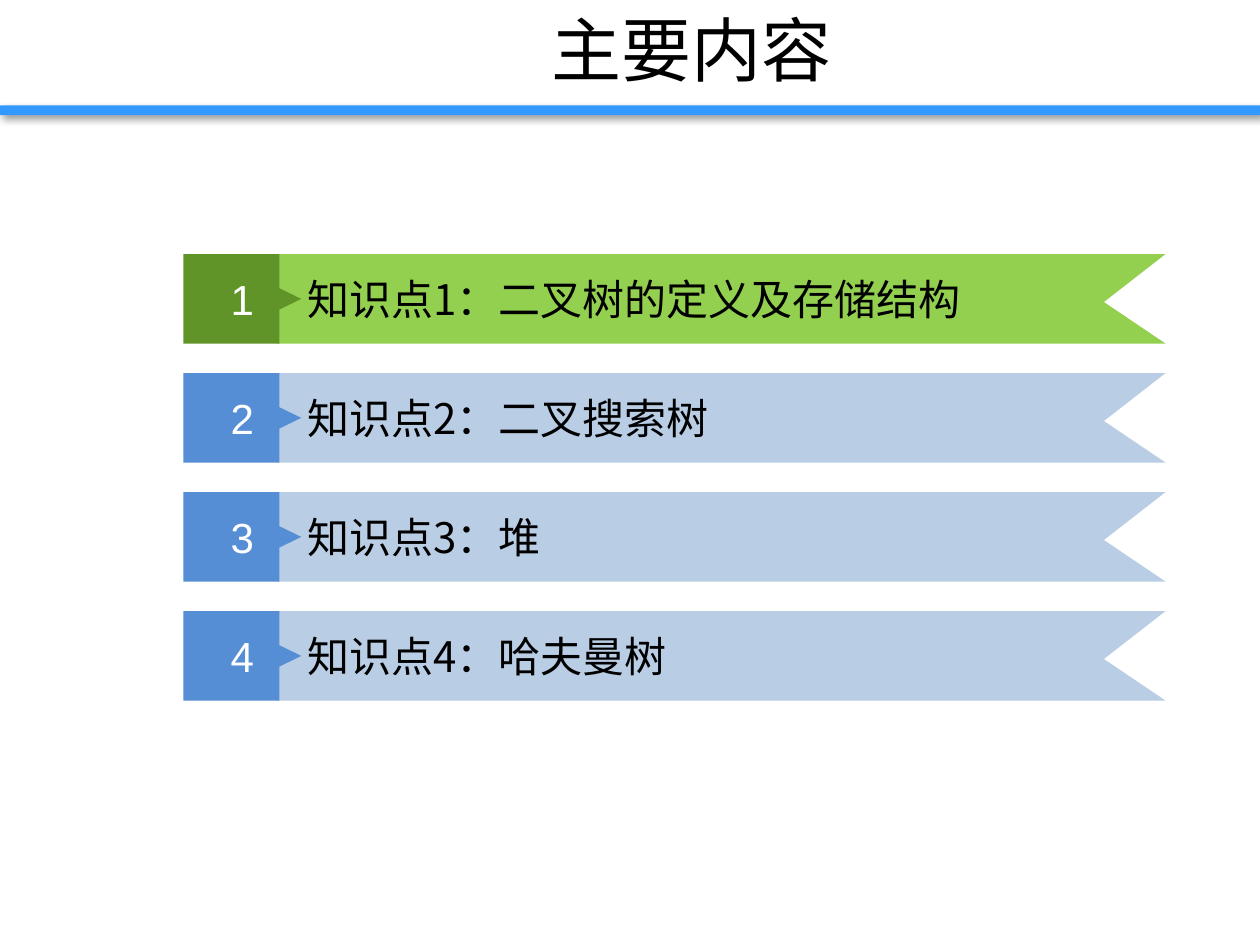
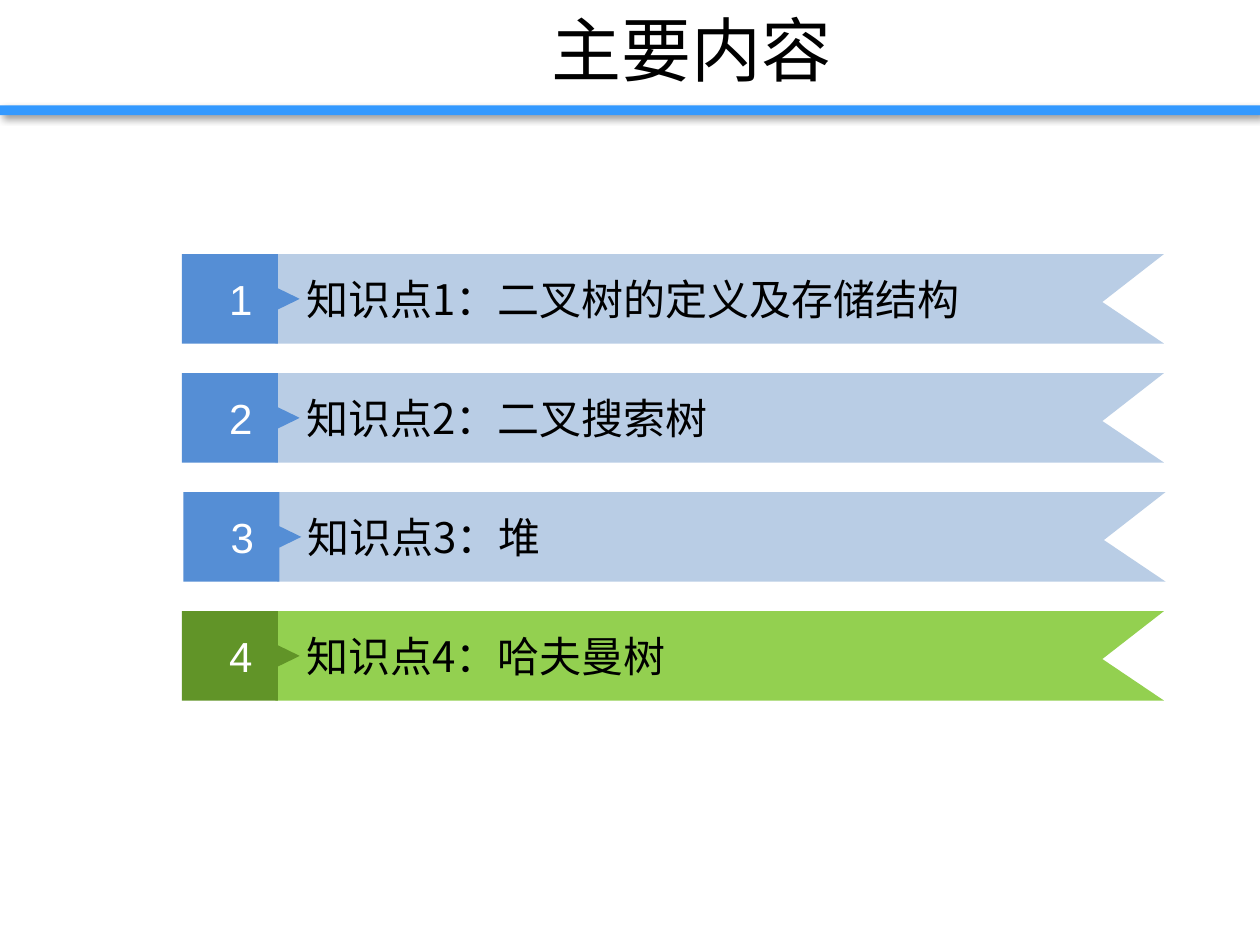
from dataclasses import dataclass

from lxml.etree import SubElement
from pptx import Presentation
from pptx.dml.color import RGBColor
from pptx.enum.shapes import MSO_SHAPE
from pptx.enum.text import MSO_ANCHOR, PP_ALIGN
from pptx.oxml.ns import qn
from pptx.shapes.autoshape import Shape
from pptx.slide import Slide
from pptx.util import Pt

WHITE = RGBColor(0xFF, 0xFF, 0xFF)
BLACK = RGBColor(0x00, 0x00, 0x00)
BAND_BLUE = RGBColor(0x33, 0x99, 0xFF)
PALE_BLUE = RGBColor(0xB9, 0xCD, 0xE5)
MID_BLUE = RGBColor(0x55, 0x8E, 0xD5)
LIGHT_GREEN = RGBColor(0x93, 0xD0, 0x50)
DARK_GREEN = RGBColor(0x61, 0x94, 0x28)

HEADING_FONT = "Noto Sans CJK SC"
NUMBER_FONT = "Arial"

HEADING = "主要内容"
TOPICS = ("二叉树的定义及存储结构", "二叉搜索树", "堆", "哈夫曼树")

FIRST_TOP = 145.2
ROW_PITCH = 68
ROW_HEIGHT = 51.1
RIBBON_OUTLINE = (
    (53.5, 0), (561.2, 0), (526, 27.4), (561.2, ROW_HEIGHT), (53.5, ROW_HEIGHT),
)
TAG_OUTLINE = (
    (0, 0), (54.9, 0), (54.9, 19.5), (67.4, 25.6), (54.9, 31.7),
    (54.9, ROW_HEIGHT), (0, ROW_HEIGHT),
)


@dataclass(frozen=True)
class Palette:
    tag: RGBColor
    ribbon: RGBColor


@dataclass(frozen=True)
class Agenda:
    current: int
    lefts: tuple[float, ...]


PLAIN = Palette(MID_BLUE, PALE_BLUE)
CURRENT = Palette(DARK_GREEN, LIGHT_GREEN)
AGENDAS = (
    Agenda(1, (104.8, 104.8, 104.8, 104.8)),
    Agenda(4, (103.9, 103.9, 104.8, 103.9)),
)


def write_text(shape: Shape, text: str, size: float, font_name: str,
               color: RGBColor, align: PP_ALIGN) -> None:
    frame = shape.text_frame
    frame.text = text
    frame.word_wrap = True
    frame.vertical_anchor = MSO_ANCHOR.MIDDLE
    paragraph = frame.paragraphs[0]
    paragraph.alignment = align
    run = paragraph.runs[0]
    run.font.size = Pt(size)
    run.font.name = font_name
    run.font.color.rgb = color
    east_asian = SubElement(run.font._element, qn("a:ea"))
    east_asian.set("typeface", font_name)


def paint(shape: Shape, color: RGBColor) -> None:
    shape.shadow.inherit = False
    shape.fill.solid()
    shape.fill.fore_color.rgb = color
    shape.line.fill.background()


def draw_outline(slide: Slide, left: float, top: float,
                 outline: tuple[tuple[float, float], ...], color: RGBColor) -> Shape:
    points = [(Pt(left + x), Pt(top + y)) for x, y in outline]
    builder = slide.shapes.build_freeform(*points[0])
    builder.add_line_segments(points[1:], close=True)
    shape = builder.convert_to_shape()
    paint(shape, color)
    return shape


def draw_heading(slide: Slide) -> None:
    band = slide.shapes.add_shape(MSO_SHAPE.RECTANGLE, 0, Pt(60.3), Pt(720), Pt(5.6))
    paint(band, BAND_BLUE)
    effects = band._element.spPr.find(qn("a:effectLst"))
    shadow = SubElement(effects, qn("a:outerShdw"), blurRad=str(Pt(4)),
                        dist=str(Pt(3)), dir="2700000", algn="tl", rotWithShape="0")
    shade = SubElement(shadow, qn("a:srgbClr"), val=str(BLACK))
    SubElement(shade, qn("a:alpha"), val="40000")

    heading = slide.shapes.add_textbox(Pt(70.6), 0, Pt(649.4), Pt(55.4))
    write_text(heading, HEADING, 40, HEADING_FONT, BLACK, PP_ALIGN.CENTER)


def draw_topic(slide: Slide, number: int, topic: str, left: float,
               palette: Palette) -> None:
    top = FIRST_TOP + (number - 1) * ROW_PITCH
    ribbon = draw_outline(slide, left, top, RIBBON_OUTLINE, palette.ribbon)
    write_text(ribbon, f"知识点{number}：{topic}", 24, HEADING_FONT, BLACK, PP_ALIGN.LEFT)
    ribbon.text_frame.margin_left = Pt(17.5)
    tag = draw_outline(slide, left, top, TAG_OUTLINE, palette.tag)
    write_text(tag, str(number), 24, NUMBER_FONT, WHITE, PP_ALIGN.CENTER)
    slide.shapes.add_group_shape([ribbon, tag])


def main() -> None:
    presentation = Presentation()
    presentation.slide_width = Pt(720)
    presentation.slide_height = Pt(540)
    blank_layout = presentation.slide_layouts[6]
    for agenda in AGENDAS:
        slide = presentation.slides.add_slide(blank_layout)
        draw_heading(slide)
        for number, (topic, left) in enumerate(zip(TOPICS, agenda.lefts), start=1):
            palette = CURRENT if number == agenda.current else PLAIN
            draw_topic(slide, number, topic, left, palette)
    presentation.save("out.pptx")


if __name__ == "__main__":
    main()
